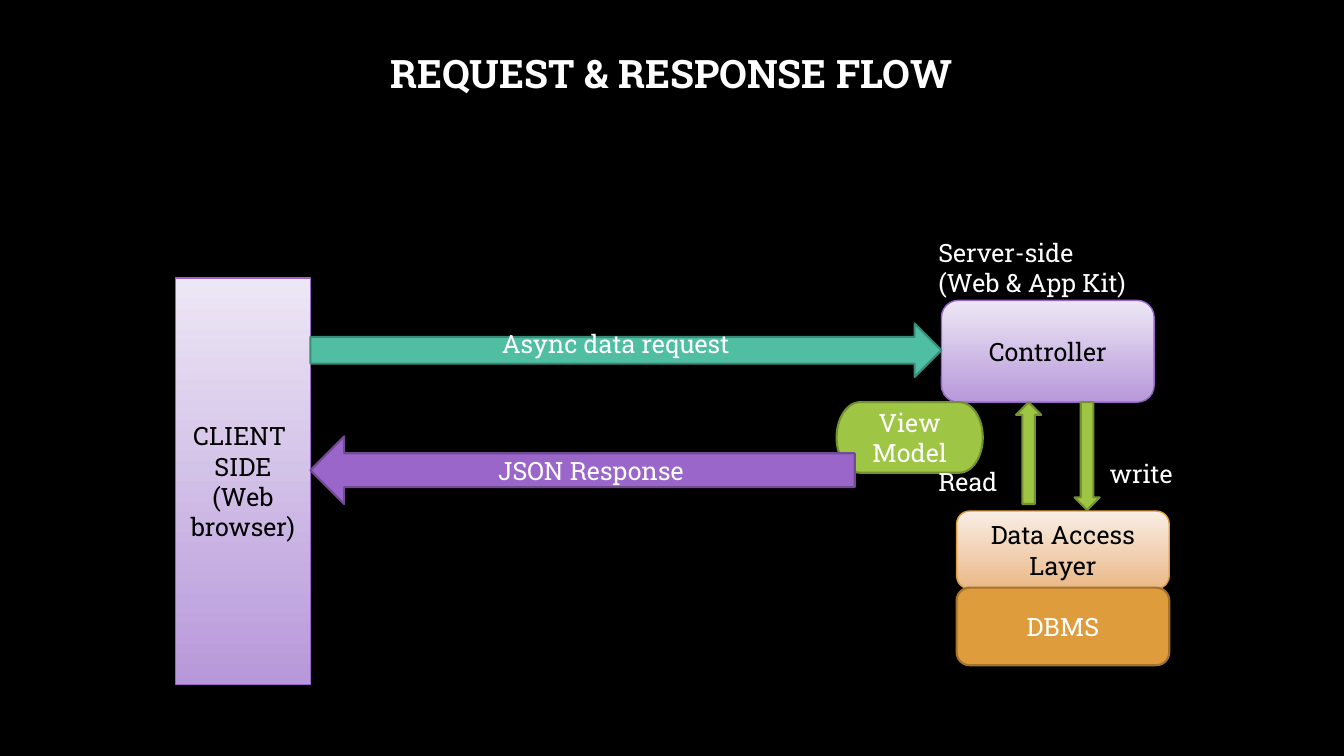
import dataclasses

import pptx
import pptx.dml.color
import pptx.dml.fill
import pptx.enum.shapes
import pptx.enum.text
import pptx.presentation
import pptx.slide
import pptx.text.text
import pptx.util

Pt = pptx.util.Pt
Kind = pptx.enum.shapes.MSO_SHAPE
Align = pptx.enum.text.PP_ALIGN
Anchor = pptx.enum.text.MSO_ANCHOR

FONT = "Roboto Slab"
BLACK = "000000"
WHITE = "FFFFFF"
GREEN = "9EC544"
DARK_GREEN = "759232"
PURPLE = "9A66CA"
ORANGE = "DE9C3C"
LAVENDER_GRADIENT = ("EDE7F5", "B798DA")
PEACH_GRADIENT = ("F9EEE5", "EAB887")

CLIENT_RIGHT = 221.76
CONTROLLER_LEFT, CONTROLLER_BOTTOM = 672.48, 287.28
DATA_LEFT = 683.28
SERVER_WIDTH = 151.92
DATA_HEIGHT = 55.44
LABEL_LEFT = 663.12


@dataclasses.dataclass(frozen=True)
class Box:
    left: float
    top: float
    width: float
    height: float


@dataclasses.dataclass(frozen=True)
class Node:
    kind: Kind
    box: Box
    fill: tuple[str, ...]
    line: str
    line_width: float = 1.5
    lines: tuple[str, ...] = ()
    text_color: str = WHITE


@dataclasses.dataclass(frozen=True)
class Label:
    box: Box
    lines: tuple[str, ...]


NODES = (
    Node(Kind.RECTANGLE, Box(125.28, 198.72, 96.48, 290.16), LAVENDER_GRADIENT, PURPLE, 1,
         ("CLIENT ", "SIDE", "(Web browser)"), BLACK),
    Node(Kind.ROUNDED_RECTANGLE, Box(CONTROLLER_LEFT, 214.56, SERVER_WIDTH, 72.72),
         LAVENDER_GRADIENT, PURPLE, 1, ("Controller",), BLACK),
    Node(Kind.ROUNDED_RECTANGLE, Box(DATA_LEFT, 365.04, SERVER_WIDTH, DATA_HEIGHT),
         PEACH_GRADIENT, ORANGE, 1, ("Data Access Layer",), BLACK),
    Node(Kind.ROUNDED_RECTANGLE, Box(DATA_LEFT, 419.76, SERVER_WIDTH, DATA_HEIGHT),
         (ORANGE,), "A4732C", lines=("DBMS",)),
    Node(Kind.DOWN_ARROW, Box(767.52, CONTROLLER_BOTTOM, 18, 77.04), (GREEN,), DARK_GREEN),
    Node(Kind.UP_ARROW, Box(725.76, CONTROLLER_BOTTOM, 18, 72.72), (GREEN,), DARK_GREEN),
    Node(Kind.FLOWCHART_TERMINATOR, Box(597.6, CONTROLLER_BOTTOM, 104.4, 50.4),
         (GREEN,), DARK_GREEN, lines=("View Model",)),
    Node(Kind.LEFT_ARROW, Box(CLIENT_RIGHT, 311.76, 388.8, 48.24),
         (PURPLE,), "724B95", lines=("JSON Response",)),
    Node(Kind.RIGHT_ARROW, Box(CLIENT_RIGHT, 231.12, CONTROLLER_LEFT - CLIENT_RIGHT, 38.16),
         ("50BEA3",), "3B8D79"),
)

LABELS = (
    Label(Box(785.52, 324, 65.52, 28.8), ("write",)),
    Label(Box(LABEL_LEFT, 329.76, 80.64, 28.8), ("Read",)),
    Label(Box(351.36, 231.12, 223.92, 28.8), ("Async data request",)),
    Label(Box(LABEL_LEFT, 165.6, 171.36, 51.12), ("Server-side", "(Web & App Kit)")),
)


def color(value: str) -> pptx.dml.color.RGBColor:
    return pptx.dml.color.RGBColor.from_string(value)


def points(box: Box) -> tuple[pptx.util.Length, ...]:
    return Pt(box.left), Pt(box.top), Pt(box.width), Pt(box.height)


def paint(fill: pptx.dml.fill.FillFormat, colors: tuple[str, ...]) -> None:
    if len(colors) == 1:
        fill.solid()
        fill.fore_color.rgb = color(colors[0])
        return
    fill.gradient()
    fill.gradient_angle = 270
    for position, (stop, value) in enumerate(zip(fill.gradient_stops, colors)):
        stop.position = position
        stop.color.rgb = color(value)


def write(frame: pptx.text.text.TextFrame, lines: tuple[str, ...], text_color: str,
          alignment: Align, size: float = 18, bold: bool = False) -> None:
    frame.word_wrap = True
    for index, line in enumerate(lines):
        paragraph = frame.add_paragraph() if index else frame.paragraphs[0]
        paragraph.alignment = alignment
        run = paragraph.add_run()
        run.text = line
        run.font.name = FONT
        run.font.size = Pt(size)
        run.font.bold = bold
        run.font.color.rgb = color(text_color)


def draw_title(slide: pptx.slide.Slide, text: str) -> None:
    title = slide.shapes.title
    title.left, title.top, title.width, title.height = points(Box(72, 12.24, 815.04, 83.52))
    write(title.text_frame, (text,), WHITE, Align.CENTER, 28, True)
    title.text_frame.vertical_anchor = Anchor.MIDDLE
    title.text_frame.paragraphs[0].line_spacing = 0.9


def draw_node(slide: pptx.slide.Slide, node: Node) -> None:
    shape = slide.shapes.add_shape(node.kind, *points(node.box))
    shape.shadow.inherit = False
    paint(shape.fill, node.fill)
    shape.line.color.rgb = color(node.line)
    shape.line.width = Pt(node.line_width)
    shape.text_frame.vertical_anchor = Anchor.MIDDLE
    write(shape.text_frame, node.lines, node.text_color, Align.CENTER)


def draw_label(slide: pptx.slide.Slide, label: Label) -> None:
    shape = slide.shapes.add_textbox(*points(label.box))
    write(shape.text_frame, label.lines, WHITE, Align.LEFT)
    shape.text_frame.auto_size = pptx.enum.text.MSO_AUTO_SIZE.SHAPE_TO_FIT_TEXT


def main() -> None:
    presentation = pptx.Presentation()
    presentation.slide_width = Pt(960)
    presentation.slide_height = Pt(540)
    slide = presentation.slides.add_slide(presentation.slide_layouts.get_by_name("Title Only"))
    paint(slide.background.fill, (BLACK,))
    draw_title(slide, "REQUEST & RESPONSE FLOW")
    for node in NODES:
        draw_node(slide, node)
    for label in LABELS:
        draw_label(slide, label)
    presentation.save("out.pptx")


if __name__ == "__main__":
    main()
